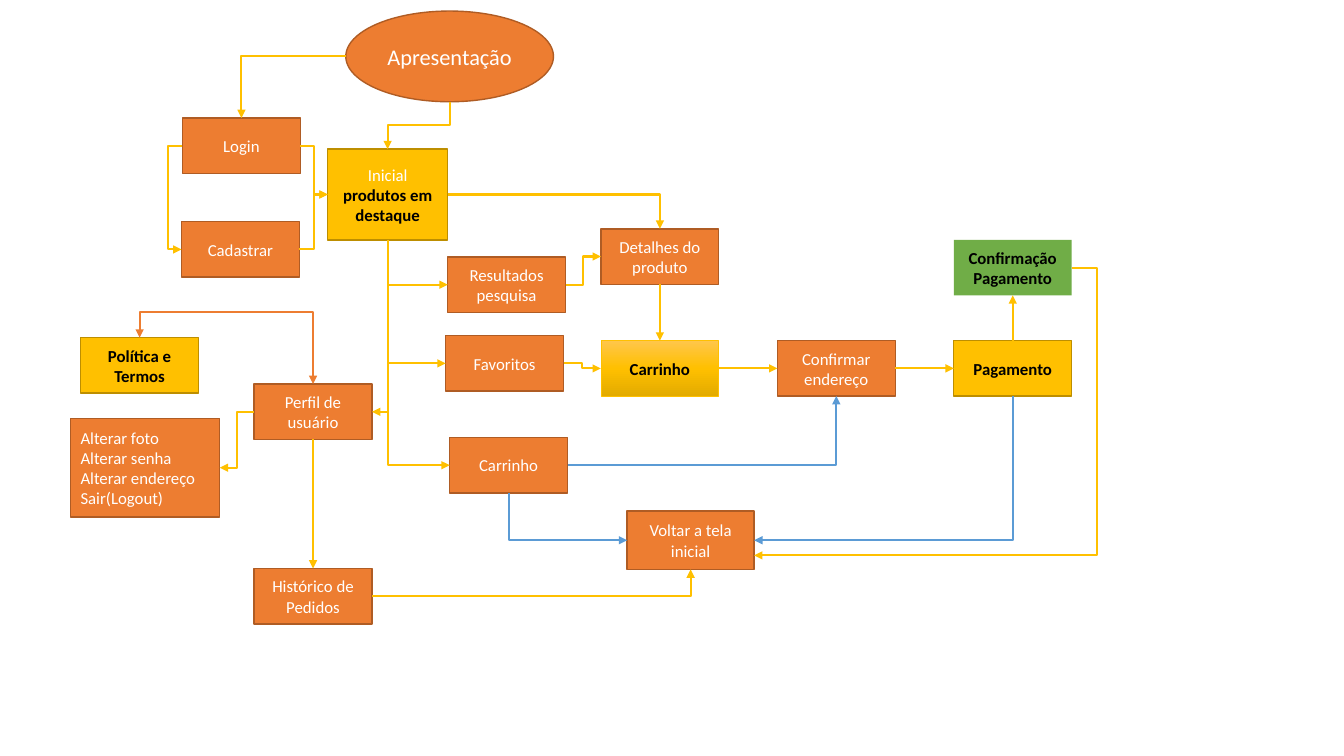
import copy

import pptx
import pptx.util
import pptx.dml.color
import pptx.enum.shapes
import pptx.enum.text
import pptx.oxml
import pptx.oxml.ns
from lxml import etree

Inches = pptx.util.Inches
Pt = pptx.util.Pt
RGBColor = pptx.dml.color.RGBColor
Shape = pptx.enum.shapes.MSO_SHAPE
Align = pptx.enum.text.PP_ALIGN
qn = pptx.oxml.ns.qn

ORANGE = RGBColor(0xED, 0x7D, 0x31)
ORANGE_EDGE = RGBColor(0xAF, 0x5C, 0x24)
GOLD = RGBColor(0xFF, 0xC0, 0x00)
GOLD_EDGE = RGBColor(0xBD, 0x8E, 0x00)
GOLD_LIGHT = RGBColor(0xFF, 0xC6, 0x4B)
GOLD_DARK = RGBColor(0xE3, 0xAB, 0x00)
GREEN = RGBColor(0x70, 0xAD, 0x47)
BLUE = RGBColor(0x5B, 0x9B, 0xD5)
WHITE = RGBColor(0xFF, 0xFF, 0xFF)
BLACK = RGBColor(0x00, 0x00, 0x00)

STEP_W, STEP_H = 1.17, 0.55
SIDES = {"top": 0, "left": 1, "bottom": 2, "right": 3}


def style_text(paragraph, color, bold, size):
    for run in paragraph.runs:
        run.font.name = "Calibri"
        run.font.size = Pt(size)
        run.font.color.rgb = color
        run.font.bold = bold


def add_step(slide, text, left, top, width=STEP_W, height=STEP_H, fill=ORANGE,
             edge=ORANGE_EDGE, color=WHITE, bold=False, size=12,
             align=Align.CENTER, outline=Shape.RECTANGLE):
    step = slide.shapes.add_shape(
        outline, Inches(left), Inches(top), Inches(width), Inches(height))
    step.shadow.inherit = False
    step.fill.solid()
    step.fill.fore_color.rgb = fill
    if edge is None:
        step.line.fill.background()
    else:
        step.line.color.rgb = edge
        step.line.width = Pt(1)
    frame = step.text_frame
    frame.word_wrap = True
    frame.vertical_anchor = pptx.enum.text.MSO_ANCHOR.MIDDLE
    frame.text = text
    for paragraph in frame.paragraphs:
        paragraph.alignment = align
        style_text(paragraph, color, bold, size)
    return step


def add_key_step(slide, text, left, top, fill=GOLD, edge=GOLD_EDGE, **size):
    return add_step(slide, text, left, top, fill=fill, edge=edge,
                    color=BLACK, bold=True, **size)


def shade_gold(step):
    step.fill.gradient()
    step.fill.gradient_angle = 270
    first = step._element.spPr.find(".//" + qn("a:gs"))
    first.addnext(copy.deepcopy(first))
    shades = (GOLD_LIGHT, 0), (GOLD, 0.5), (GOLD_DARK, 1)
    for stop, (color, position) in zip(step.fill.gradient_stops, shades):
        stop.color.rgb = color
        stop.position = position
    step.line.color.rgb = GOLD
    step.line.width = Pt(0.5)


def turn_vertical(link, xfrm, dx, dy):
    center_x = (link.begin_x + link.end_x) // 2
    center_y = (link.begin_y + link.end_y) // 2
    link.width, link.height = abs(dy), abs(dx)
    link.left = center_x - abs(dy) // 2
    link.top = center_y - abs(dx) // 2
    down, right = dy > 0, dx > 0
    xfrm.set("rot", str((90 if down and not right else 270) * 60000))
    xfrm.set("flipH", str(int(down and right)))
    xfrm.set("flipV", str(int(not down and not right)))


def add_link(slide, source, source_side, target, target_side, color=GOLD,
             bend=None, drop=0, both_ways=False):
    link = slide.shapes.add_connector(
        pptx.enum.shapes.MSO_CONNECTOR.ELBOW, 0, 0, 0, 0)
    link.begin_connect(source, SIDES[source_side])
    if source.auto_shape_type == Shape.OVAL:
        start = link._element.find(".//" + qn("a:stCxn"))
        start.set("idx", str(2 * SIDES[source_side]))
    if drop:
        link.end_x = target.left + target.width
        link.end_y = target.top + target.height // 2 + Inches(drop)
    else:
        link.end_connect(target, SIDES[target_side])

    dx, dy = link.end_x - link.begin_x, link.end_y - link.begin_y
    vertical = source_side in ("top", "bottom")
    same_axis = vertical == (target_side in ("top", "bottom"))
    along, across = (dy, dx) if vertical else (dx, dy)
    origin = link.begin_y if vertical else link.begin_x
    properties = link._element.spPr
    geometry = properties.find(qn("a:prstGeom"))
    if same_axis and abs(across) < Inches(0.02):
        geometry.set("prst", "straightConnector1")
    else:
        geometry.set("prst", "bentConnector3" if same_axis else "bentConnector2")
        if bend is not None:
            ratio = round((Inches(bend) - origin) / along * 100000)
            guide = etree.SubElement(geometry.find(qn("a:avLst")), qn("a:gd"))
            guide.set("name", "adj1")
            guide.set("fmla", f"val {ratio}")
        if vertical:
            turn_vertical(link, properties.find(qn("a:xfrm")), dx, dy)

    link.line.color.rgb = color
    link.line.width = Pt(1.5)
    stroke = properties.find(qn("a:ln"))
    for end in ("a:headEnd", "a:tailEnd") if both_ways else ("a:tailEnd",):
        etree.SubElement(stroke, qn(end)).set("type", "triangle")
    etree.SubElement(properties, qn("a:effectLst"))


def build_entry(slide, left, top):
    intro = add_step(slide, "Apresentação", left + 1.63, top, 2.06, 0.9,
                     size=16, outline=Shape.OVAL)
    login = add_step(slide, "Login", left + 0.01, top + 1.06)
    signup = add_step(slide, "Cadastrar", left, top + 2.09)
    home = add_key_step(slide, "Inicial\nprodutos em destaque",
                        left + 1.45, top + 1.37, width=1.19, height=0.9)
    style_text(home.text_frame.paragraphs[0], WHITE, False, 12)
    add_link(slide, intro, "left", login, "top")
    add_link(slide, intro, "bottom", home, "top")
    add_link(slide, login, "left", signup, "left", bend=left - 0.14)
    for access in (login, signup):
        add_link(slide, access, "right", home, "left")
    return home


def build_profile(slide, left, top):
    terms = add_key_step(slide, "Política e Termos", left + 0.1, top)
    options = add_step(
        slide, "Alterar foto\nAlterar senha\nAlterar endereço\nSair(Logout)",
        left, top + 0.8, 1.48, 0.98, align=Align.LEFT)
    profile = add_step(slide, "Perfil de usuário", left + 1.82, top + 0.46)
    orders = add_step(slide, "Histórico de\nPedidos", left + 1.82, top + 2.29)
    add_link(slide, profile, "left", options, "right")
    add_link(slide, profile, "top", terms, "top", color=ORANGE,
             bend=top - 0.25, both_ways=True)
    add_link(slide, profile, "bottom", orders, "top")
    return profile, orders


def build_catalog(slide, left, top):
    results = add_step(slide, "Resultados pesquisa", left + 0.02, top + 0.28)
    favorites = add_step(slide, "Favoritos", left, top + 1.06)
    saved_cart = add_step(slide, "Carrinho", left + 0.04, top + 2.07)
    details = add_step(slide, "Detalhes do produto", left + 1.54, top)
    cart = add_key_step(slide, "Carrinho", left + 1.54, top + 1.11)
    shade_gold(cart)
    add_link(slide, results, "right", details, "left")
    add_link(slide, favorites, "right", cart, "left")
    add_link(slide, details, "bottom", cart, "top")
    return results, favorites, saved_cart, details, cart


def build_checkout(slide, left, top):
    address = add_step(slide, "Confirmar endereço", left + 1.49, top + 1)
    payment = add_key_step(slide, "Pagamento", left + 3.24, top + 1)
    receipt = add_key_step(slide, "Confirmação\nPagamento", left + 3.24, top,
                           fill=GREEN, edge=None)
    back_home = add_step(slide, "Voltar a tela inicial", left, top + 2.69,
                         1.26, 0.58)
    add_link(slide, address, "right", payment, "left")
    add_link(slide, payment, "top", receipt, "bottom")
    add_link(slide, payment, "bottom", back_home, "right", color=BLUE)
    add_link(slide, receipt, "right", back_home, "right",
             bend=left + 4.66, drop=0.15)
    return address, back_home


def build_flow(slide):
    home = build_entry(slide, 1.8, 0.11)
    profile, orders = build_profile(slide, 0.7, 3.35)
    results, favorites, saved_cart, details, cart = build_catalog(
        slide, 4.42, 2.27)
    address, back_home = build_checkout(slide, 6.22, 2.38)
    for destination in (results, favorites, saved_cart):
        add_link(slide, home, "bottom", destination, "left")
    add_link(slide, home, "bottom", profile, "right")
    add_link(slide, home, "right", details, "top")
    add_link(slide, cart, "right", address, "left")
    add_link(slide, saved_cart, "right", address, "bottom", color=BLUE)
    add_link(slide, saved_cart, "bottom", back_home, "left", color=BLUE)
    add_link(slide, orders, "right", back_home, "bottom")


deck = pptx.Presentation()
deck.slide_width, deck.slide_height = Inches(13.33), Inches(7.5)
build_flow(deck.slides.add_slide(deck.slide_layouts[6]))
deck.save("out.pptx")
